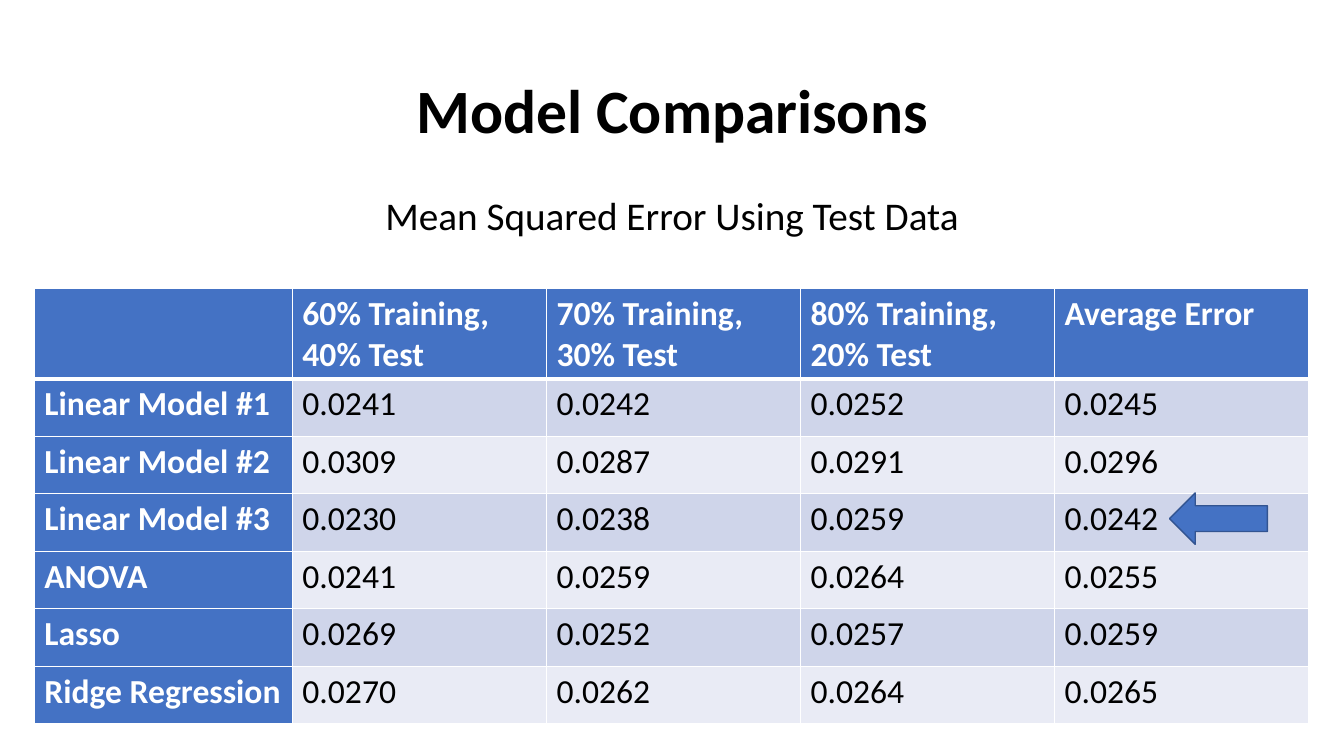
from lxml import etree
from pptx import Presentation
from pptx.dml.color import RGBColor
from pptx.enum.shapes import MSO_SHAPE
from pptx.enum.text import MSO_ANCHOR, PP_ALIGN
from pptx.oxml.ns import qn
from pptx.util import Inches, Pt

LEFT_ARROW = MSO_SHAPE.LEFT_ARROW
MIDDLE = MSO_ANCHOR.MIDDLE
CENTER = PP_ALIGN.CENTER

FONT = "Calibri"
BLACK = RGBColor(0x00, 0x00, 0x00)
WHITE = RGBColor(0xFF, 0xFF, 0xFF)
BLUE = RGBColor(0x44, 0x72, 0xC4)
DARK_BLUE = RGBColor(0x32, 0x54, 0x91)
BANDS = (RGBColor(0xCF, 0xD5, 0xEA), RGBColor(0xE9, 0xEB, 0xF5))

ERRORS = [
    ["", "60% Training,\n40% Test", "70% Training,\n30% Test",
     "80% Training,\n20% Test", "Average Error"],
    ["Linear Model #1", "0.0241", "0.0242", "0.0252", "0.0245"],
    ["Linear Model #2", "0.0309", "0.0287", "0.0291", "0.0296"],
    ["Linear Model #3", "0.0230", "0.0238", "0.0259", "0.0242"],
    ["ANOVA", "0.0241", "0.0259", "0.0264", "0.0255"],
    ["Lasso", "0.0269", "0.0252", "0.0257", "0.0259"],
    ["Ridge Regression", "0.0270", "0.0262", "0.0264", "0.0265"],
]


def format_runs(text_frame, size, color, bold):
    for paragraph in text_frame.paragraphs:
        for run in paragraph.runs:
            run.font.name = FONT
            run.font.size = Pt(size)
            run.font.color.rgb = color
            run.font.bold = bold


def add_heading(slide, text, left, top, width, height, size, bold=False, spacing=1.0):
    heading = slide.shapes.add_textbox(
        Inches(left), Inches(top), Inches(width), Inches(height))
    frame = heading.text_frame
    frame.word_wrap = True
    frame.vertical_anchor = MIDDLE
    frame.text = text
    frame.paragraphs[0].alignment = CENTER
    frame.paragraphs[0].line_spacing = spacing
    format_runs(frame, size, BLACK, bold)


def add_borders(cell, top, bottom):
    properties = cell._tc.get_or_add_tcPr()
    for side, width in (("L", 1), ("R", 1), ("T", top), ("B", bottom)):
        border = etree.SubElement(properties, qn(f"a:ln{side}"), w=str(Pt(width)))
        fill = etree.SubElement(border, qn("a:solidFill"))
        etree.SubElement(fill, qn("a:srgbClr"), val=str(WHITE))


def add_error_table(slide):
    frame = slide.shapes.add_table(
        len(ERRORS), len(ERRORS[0]),
        Inches(0.34), Inches(2.86), Inches(12.64), Inches(4.32))
    table = frame.table
    table.first_col = True
    for index, column in enumerate(table.columns):
        column.width = Inches(2.56 if index == 0 else 2.52)
    for row_index, values in enumerate(ERRORS):
        table.rows[row_index].height = Inches(0.9 if row_index == 0 else 0.57)
        for column_index, value in enumerate(values):
            cell = table.cell(row_index, column_index)
            is_label = row_index == 0 or column_index == 0
            add_borders(cell, 3 if row_index == 1 else 1, 3 if row_index == 0 else 1)
            cell.fill.solid()
            cell.fill.fore_color.rgb = BLUE if is_label else BANDS[(row_index - 1) % 2]
            cell.text_frame.text = value
            format_runs(cell.text_frame, 24, WHITE if is_label else BLACK, is_label)


def add_best_model_arrow(slide):
    arrow = slide.shapes.add_shape(
        LEFT_ARROW, Inches(11.6), Inches(4.89), Inches(0.97), Inches(0.51))
    arrow.shadow.inherit = False
    arrow.fill.solid()
    arrow.fill.fore_color.rgb = BLUE
    arrow.line.color.rgb = DARK_BLUE
    arrow.line.width = Pt(1)


def main():
    presentation = Presentation()
    presentation.slide_width = Inches(13.33)
    presentation.slide_height = Inches(7.5)
    slide = presentation.slides.add_slide(presentation.slide_layouts[6])
    add_heading(slide, "Model Comparisons", 0.92, 0.4, 11.5, 1.45, 44, True, 0.9)
    add_error_table(slide)
    add_best_model_arrow(slide)
    add_heading(slide, "Mean Squared Error Using Test Data", 2.79, 1.85, 7.75, 0.57, 28)
    presentation.save("out.pptx")


if __name__ == "__main__":
    main()
